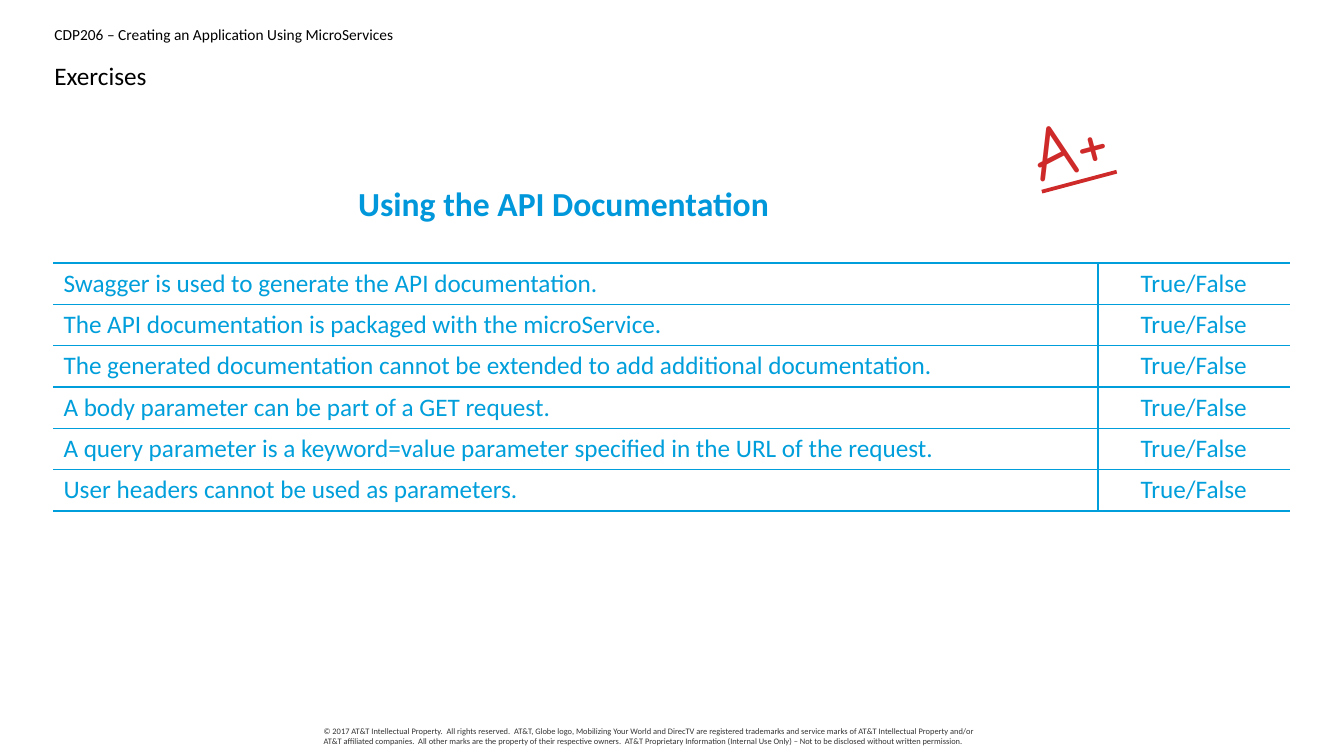
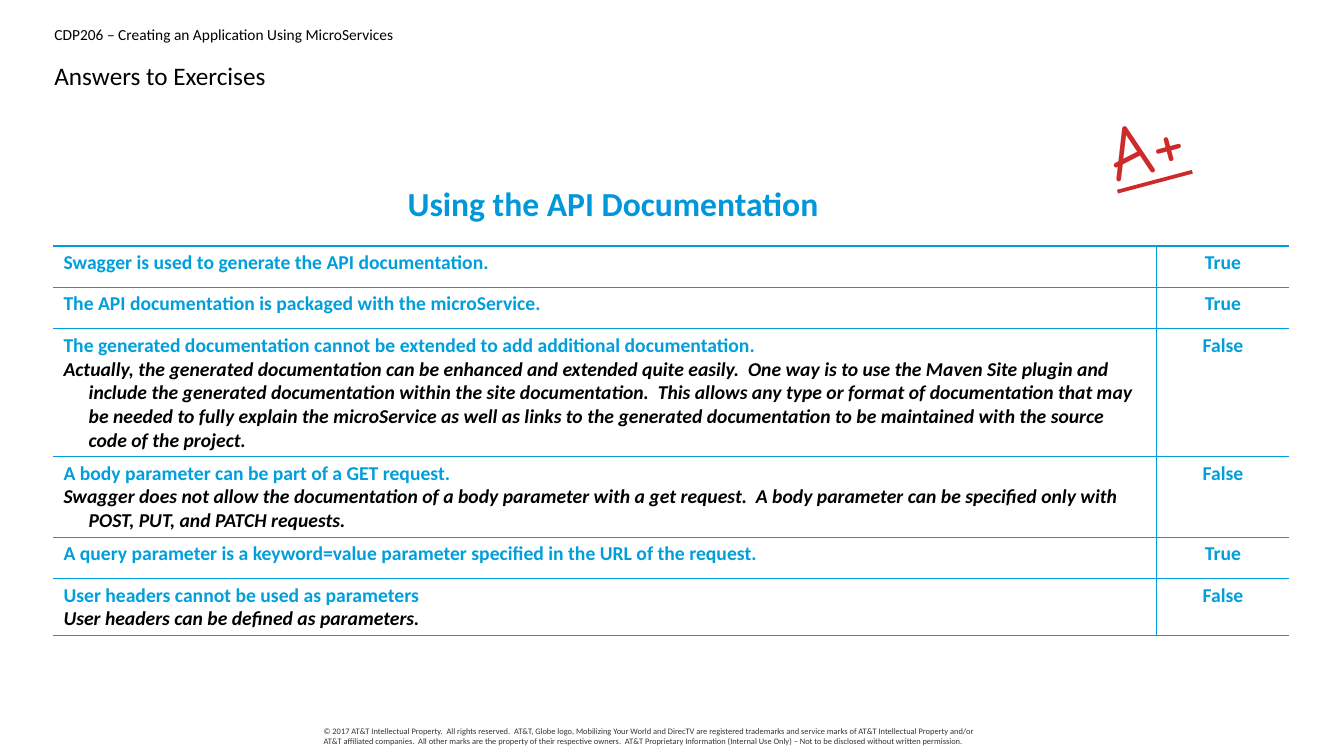
from lxml.etree import SubElement as Sub
from pptx import Presentation
from pptx.dml.color import RGBColor as RGB
from pptx.enum.text import PP_ALIGN as AL
from pptx.oxml.ns import qn
from pptx.util import Emu, Pt

PX = 9144  # EMU per px, 100 px to the inch
HUES = {"ink": "000000", "blue": "009FDB", "head": "0097DB",
        "note": "343434", "red": "CF2A2A"}
FONT = "Calibri"

# Font values, with the colour as a key of HUES
FORMS = {
    "course": dict(size=Pt(11), hue="ink"),
    "title": dict(size=Pt(18), hue="ink"),
    "legal": dict(size=Pt(6), hue="note"),
    "topic": dict(size=Pt(24), hue="head", bold=True),
    "grade": dict(size=Pt(54), hue="red", underline=True, name="Comic Neue"),
    "ask": dict(size=Pt(18), hue="blue"),
    "key": dict(size=Pt(14), hue="blue", bold=True),
    "why": dict(size=Pt(14), hue="ink", bold=True, italic=True),
}

# Wording
COURSE = "CDP206 – Creating an Application Using MicroServices"
LEGAL = ("© 2017 AT&T Intellectual Property.  All rights reserved.  AT&T, Globe logo, "
         "Mobilizing Your World and DirecTV are registered trademarks and service marks "
         "of AT&T Intellectual Property and/or AT&T affiliated companies.  All other "
         "marks are the property of their respective owners.  AT&T Proprietary "
         "Information (Internal Use Only) – Not to be disclosed without written "
         "permission.")
TOPIC = "Using the API Documentation"
ITEMS = [
    ("Swagger is used to generate the API documentation.", "True", None),
    ("The API documentation is packaged with the microService.", "True", None),
    ("The generated documentation cannot be extended to add additional documentation.",
     "False",
     "Actually, the generated documentation can be enhanced and extended quite easily.  "
     "One way is to use the Maven Site plugin and include the generated documentation "
     "within the site documentation.  This allows any type or format of documentation "
     "that may be needed to fully explain the microService as well as links to the "
     "generated documentation to be maintained with the source code of the project."),
    ("A body parameter can be part of a GET request.", "False",
     "Swagger does not allow the documentation of a body parameter with a get request.  "
     "A body parameter can be specified only with POST, PUT, and PATCH requests."),
    ("A query parameter is a keyword=value parameter specified in the URL of the "
     "request.", "True", None),
    ("User headers cannot be used as parameters", "False",
     "User headers can be defined as parameters."),
]


class Deck:
    def __init__(self):
        self.prs = Presentation()
        self.prs.slide_width, self.prs.slide_height = Emu(1333 * PX), Emu(750 * PX)
        self.page = None

    def words(self, para, text, form, **props):
        """Fill a paragraph; props are paragraph attributes."""
        run = para.add_run()
        run.text = text
        look = {"name": FONT, **FORMS[form]}
        run.font.color.rgb = RGB.from_string(HUES[look.pop("hue")])
        for key, val in look.items():
            setattr(run.font, key, val)
        for key, val in props.items():
            setattr(para, key, val)

    def text(self, box, text, form, pad=0, wrap=True, turn=0, **props):
        shape = self.page.shapes.add_textbox(*(Emu(n * PX) for n in box))
        shape.rotation = turn
        frame = shape.text_frame
        frame.word_wrap = wrap
        for side, gap in dict(left=2, right=2, top=1, bottom=1).items():
            setattr(frame, f"margin_{side}", Emu(gap * pad * PX))
        self.words(frame.paragraphs[0], text, form, **props)

    def slide(self, title, shift):
        """Start a slide; shift holds the left edges of topic and grade."""
        self.page = self.prs.slides.add_slide(self.prs.slide_layouts[6])
        self.text((54, 25, 1226, 20), COURSE, "course")
        self.text((321, 720, 664, 21), LEGAL, "legal")
        self.text((54, 57, 1226, 37), title, "title",
                  line_spacing=1.1, space_after=Pt(10))
        topic, grade = shift
        self.text((topic, 177, 432, 50), TOPIC, "topic", pad=5, wrap=False,
                  alignment=AL.CENTER)
        self.text((grade, 91, 126, 89), "A+", "grade", turn=345.1)

    def edges(self, cell, sides):
        """Rule the named sides of a cell and clear the others."""
        props = cell._tc.get_or_add_tcPr()
        for side in "LRTB":
            line = Sub(props, qn(f"a:ln{side}"), w=str(Pt(1)))
            if side in sides:
                fill = Sub(line, qn("a:solidFill"))
                Sub(fill, qn("a:srgbClr"), val=HUES["blue"])
            else:
                Sub(line, qn("a:noFill"))
        cell.fill.background()

    def table(self, top, cols, rows, form):
        """Each row holds a statement, a verdict and an optional reason."""
        high = 41
        box = (53, top, sum(cols), high * len(rows))
        grid = self.page.shapes.add_table(len(rows), 2, *(Emu(n * PX) for n in box)).table
        grid.first_row = grid.horz_banding = False
        for col, wide in zip(grid.columns, cols):
            col.width = Emu(wide * PX)
        for num, (claim, mark, why) in enumerate(rows):
            left, right = grid.cell(num, 0), grid.cell(num, 1)
            self.edges(left, "RTB")
            self.edges(right, "LTB")
            self.words(left.text_frame.paragraphs[0], claim, form)
            self.words(right.text_frame.paragraphs[0], mark, form, alignment=AL.CENTER)
            if why:
                para = left.text_frame.add_paragraph()
                hang = 25 * PX
                for key, val in dict(marL=hang, indent=-hang).items():
                    para._p.get_or_add_pPr().set(key, str(val))
                self.words(para, why, "why")


def main():
    deck = Deck()

    # Questions
    deck.slide("Exercises", (343, 1021))
    asks = [(claim.rstrip(".") + ".", "True/False", None) for claim, _, _ in ITEMS]
    deck.table(261, (1036, 190), asks, "ask")

    # Answers
    deck.slide("Answers to Exercises", (392, 1096))
    deck.table(244, (1094, 132), ITEMS, "key")

    deck.prs.save("out.pptx")


if __name__ == "__main__":
    main()
